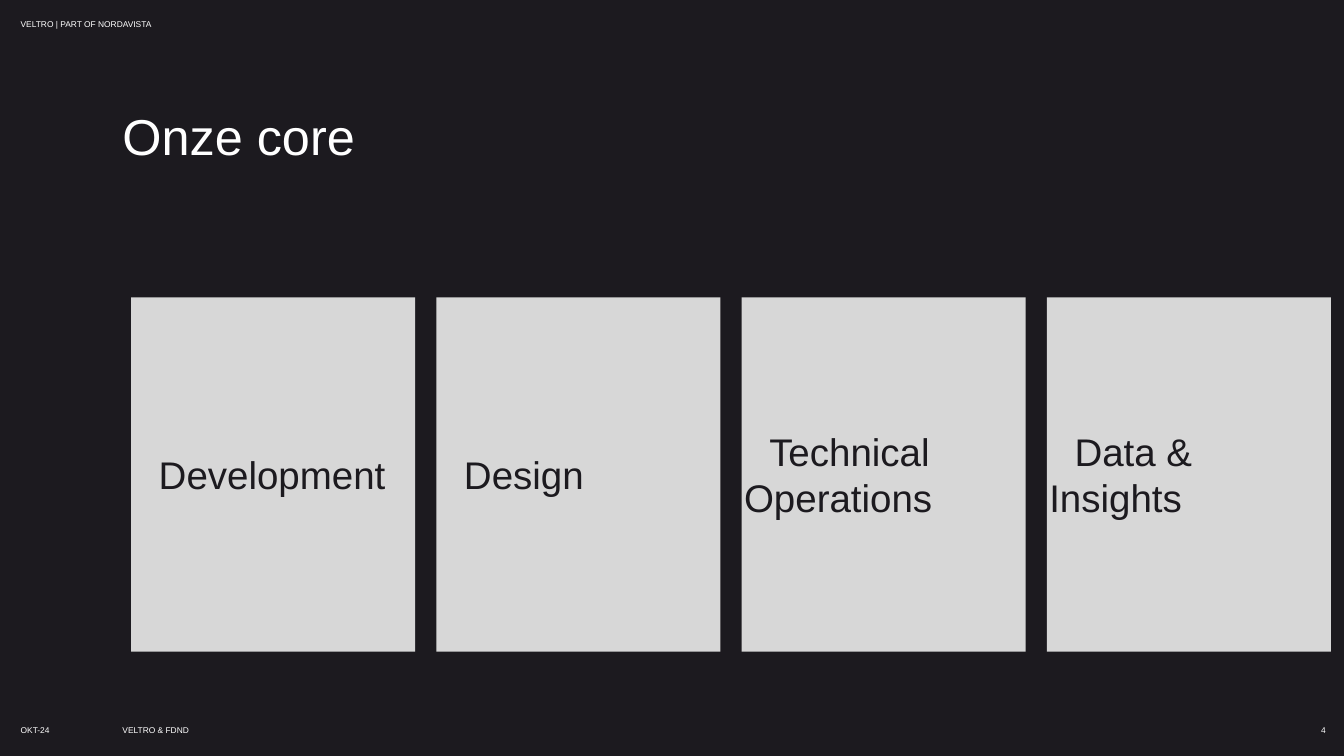
from dataclasses import dataclass

import pptx
import pptx.dml.color
import pptx.enum.shapes
import pptx.enum.text
import pptx.util

Inches = pptx.util.Inches
Pt = pptx.util.Pt
PP_ALIGN = pptx.enum.text.PP_ALIGN
MSO_ANCHOR = pptx.enum.text.MSO_ANCHOR


@dataclass(frozen=True)
class Theme:
    font: str = "Arial"
    dark: str = "1C1A1F"
    light: str = "FFFFFF"
    card: str = "D7D7D7"
    small: int = 12
    heading: int = 72
    label: int = 55


THEME = Theme()


def rgb(value):
    return pptx.dml.color.RGBColor.from_string(value)


def write(sp, text, size=THEME.small, color=THEME.light, align=PP_ALIGN.LEFT,
          anchor=MSO_ANCHOR.TOP, inset=0.05, wrap=True, spacing=None, indent=0):
    tf = sp.text_frame
    tf.word_wrap = wrap
    tf.vertical_anchor = anchor
    tf.margin_left = tf.margin_right = Inches(inset)
    tf.margin_top = tf.margin_bottom = Inches(inset)
    p = tf.paragraphs[0]
    p.alignment = align
    if spacing:
        p.line_spacing = Pt(spacing)
    if indent:
        pPr = p._p.get_or_add_pPr()
        pPr.set("marL", "0")
        pPr.set("indent", str(Inches(indent)))
    r = p.add_run()
    r.text = text
    r.font.name = THEME.font
    r.font.size = Pt(size)
    r.font.color.rgb = rgb(color)


def add_text(s, text, x, y, w, h, **fmt):
    sp = s.shapes.add_textbox(Inches(x), Inches(y), Inches(w), Inches(h))
    write(sp, text, **fmt)


def add_header(s, x, y, w, h):
    add_text(s, "VELTRO | PART OF NORDAVISTA", x, y, w, h)


def add_title(s, x, y, w, h):
    add_text(s, "Onze core", x, y, w, h, size=THEME.heading, inset=0, spacing=75)


def add_cards(s, labels, x, y, w, h, gap):
    card_w = (w - gap * (len(labels) - 1)) / len(labels)
    for i, label in enumerate(labels):
        left = x + i * (card_w + gap)
        sp = s.shapes.add_shape(pptx.enum.shapes.MSO_SHAPE.RECTANGLE,
                                Inches(left), Inches(y), Inches(card_w), Inches(h))
        sp.shadow.inherit = False
        sp.fill.solid()
        sp.fill.fore_color.rgb = rgb(THEME.card)
        sp.line.fill.background()
        write(sp, label, size=THEME.label, color=THEME.dark,
              anchor=MSO_ANCHOR.MIDDLE, indent=0.5)


def add_footer(s, x, y, w, h):
    add_text(s, "OKT-24", x, y, 1.22, h)
    add_text(s, "VELTRO & FDND", x + 2.02, y, 4.4, h)
    add_text(s, "4", x + w - 0.21, y, 0.21, h, align=PP_ALIGN.RIGHT, wrap=False)


def build_core_slide(prs):
    s = prs.slides.add_slide(prs.slide_layouts[6])
    s.background.fill.solid()
    s.background.fill.fore_color.rgb = rgb(THEME.dark)
    add_header(s, 0.36, 0.32, 4.4, 0.29)
    add_title(s, 2.43, 2.24, 17.22, 1.05)
    labels = ["Development", "Design", "Technical Operations", "Data & Insights"]
    add_cards(s, labels, 2.6, 5.9, 23.81, 7.03, gap=0.42)
    add_footer(s, 0.36, 14.33, 26, 0.29)


def main():
    prs = pptx.Presentation()
    prs.slide_width = Inches(26.67)
    prs.slide_height = Inches(15)
    build_core_slide(prs)
    prs.save("out.pptx")


if __name__ == "__main__":
    main()
